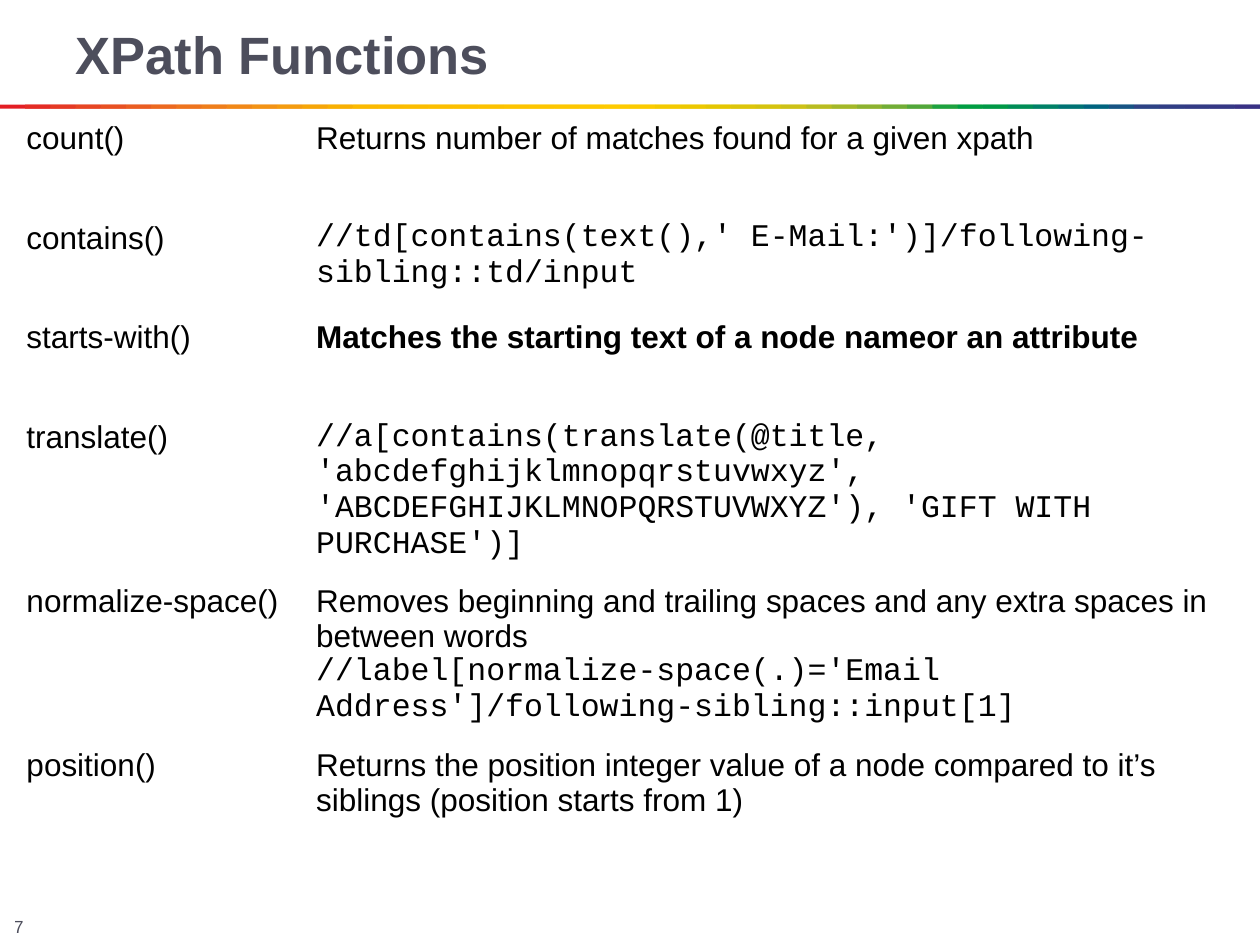
"""Build the XPath Functions slide: title, rainbow rule and function table."""
import pptx
import pptx.dml.color
import pptx.enum.shapes
import pptx.enum.text
import pptx.oxml
import pptx.oxml.ns
import pptx.util

Cm = pptx.util.Cm
Pt = pptx.util.Pt
RGBColor = pptx.dml.color.RGBColor

SLATE = RGBColor(0x4D, 0x4E, 0x5C)
BLACK = RGBColor(0, 0, 0)
WHITE = RGBColor(0xFF, 0xFF, 0xFF)
RAINBOW = [RGBColor.from_string(code) for code in """
    E31E24 E42C24 E53A24 E74623 E85122 EA5D21 EC691F EE741D EF7E1A F18817
    F39314 F49C0F F6A607 F8B002 FBBA00 FBBB00 FBBD00 FCBF00 FCC000 FCC200
    FDC400 FDC600 FDC700 FEC900 FECB00 FBCB00 F3CA00 ECC800 E4C602 DCC50A
    D5C30E CCC117 B8BC21 A3B829 8CB230 71AD36 51A73B 1DA240 009D43 009846
    008C57 008068 007275 00637F 185384 2E4285 313E85 333B85 353885 393185
""".split()]

SANS = "Arial"
MONO = "Courier New"
FUNCTIONS = [
    ("count()", [("Returns number of matches found for a given xpath", SANS, False)]),
    ("contains()", [("//td[contains(text(),' E-Mail:')]/following-sibling::td/input", MONO, False)]),
    ("starts-with()", [("Matches the starting text of a node nameor an attribute", SANS, True)]),
    ("translate()", [("//a[contains(translate(@title, 'abcdefghijklmnopqrstuvwxyz', "
                      "'ABCDEFGHIJKLMNOPQRSTUVWXYZ'), 'GIFT WITH PURCHASE')]", MONO, False)]),
    ("normalize-space()", [
        ("Removes beginning and trailing spaces and any extra spaces in between words", SANS, False),
        ("//label[normalize-space(.)='Email Address']/following-sibling::input[1]", MONO, False)]),
    ("position()", [("Returns the position integer value of a node compared to it’s siblings "
                     "(position starts from 1)", SANS, False)]),
    ("", [("", SANS, False)]),
]


def style(para, size, color, name=SANS, bold=False):
    para.alignment = pptx.enum.text.PP_ALIGN.LEFT
    para.font.name = name
    para.font.size = Pt(size)
    para.font.bold = bold
    para.font.color.rgb = color


def add_borders(cell, bottom_width):
    for side, width in (("L", 0.96), ("R", 0.96), ("T", 0.96), ("B", bottom_width)):
        border = pptx.oxml.parse_xml(
            f'<a:ln{side} {pptx.oxml.ns.nsdecls("a")} w="{Pt(width)}"><a:solidFill>'
            f'<a:srgbClr val="{WHITE}"/></a:solidFill></a:ln{side}>')
        cell._tc.get_or_add_tcPr().append(border)


deck = pptx.Presentation()
deck.slide_width = Cm(25.4)
deck.slide_height = Cm(19.05)
page = deck.slides.add_slide(deck.slide_layouts[5])

number_box = page.shapes.add_textbox(Cm(0.03), Cm(18.47), Cm(0.99), Cm(0.41))
number_frame = number_box.text_frame
number_frame.word_wrap = True
number_frame.margin_top = number_frame.margin_bottom = 0
number_frame.vertical_anchor = pptx.enum.text.MSO_ANCHOR.MIDDLE
number_frame.text = "7"
style(number_frame.paragraphs[0], 10, SLATE)

rule = page.shapes.add_group_shape()
step = deck.slide_width / len(RAINBOW)
for index, color in enumerate(RAINBOW):
    left = int(index * step)
    width = min(int(2 * step), deck.slide_width - left)
    band = rule.shapes.add_shape(
        pptx.enum.shapes.MSO_SHAPE.RECTANGLE, left, Cm(2.11), width, Cm(0.08))
    band.shadow.inherit = False
    band.fill.solid()
    band.fill.fore_color.rgb = color
    band.line.fill.background()

title = page.shapes.title
title.left, title.top, title.width, title.height = Cm(1.27), Cm(0.3), Cm(22.86), Cm(1.55)
title.text_frame.text = "XPath Functions"
title.text_frame.vertical_anchor = pptx.enum.text.MSO_ANCHOR.MIDDLE
style(title.text_frame.paragraphs[0], 30, SLATE, bold=True)

table = page.shapes.add_table(
    len(FUNCTIONS), 2, Cm(0.28), Cm(2.31), Cm(24.89), Cm(14.95)).table
table.first_row = False
table.horz_banding = False
table.columns[0].width = Cm(5.84)
table.columns[1].width = Cm(19.05)
for index, (function, description) in enumerate(FUNCTIONS):
    table.rows[index].height = Cm(2.9) if function == "translate()" else Cm(2.01)
    for column, lines in enumerate(([(function, SANS, False)], description)):
        cell = table.cell(index, column)
        add_borders(cell, 3 if index == 0 else 0.96)
        cell.fill.background()
        cell.text_frame.text = "\n".join(text for text, name, bold in lines)
        for para, (text, name, bold) in zip(cell.text_frame.paragraphs, lines):
            style(para, 18, BLACK, name, bold)

deck.save("out.pptx")
